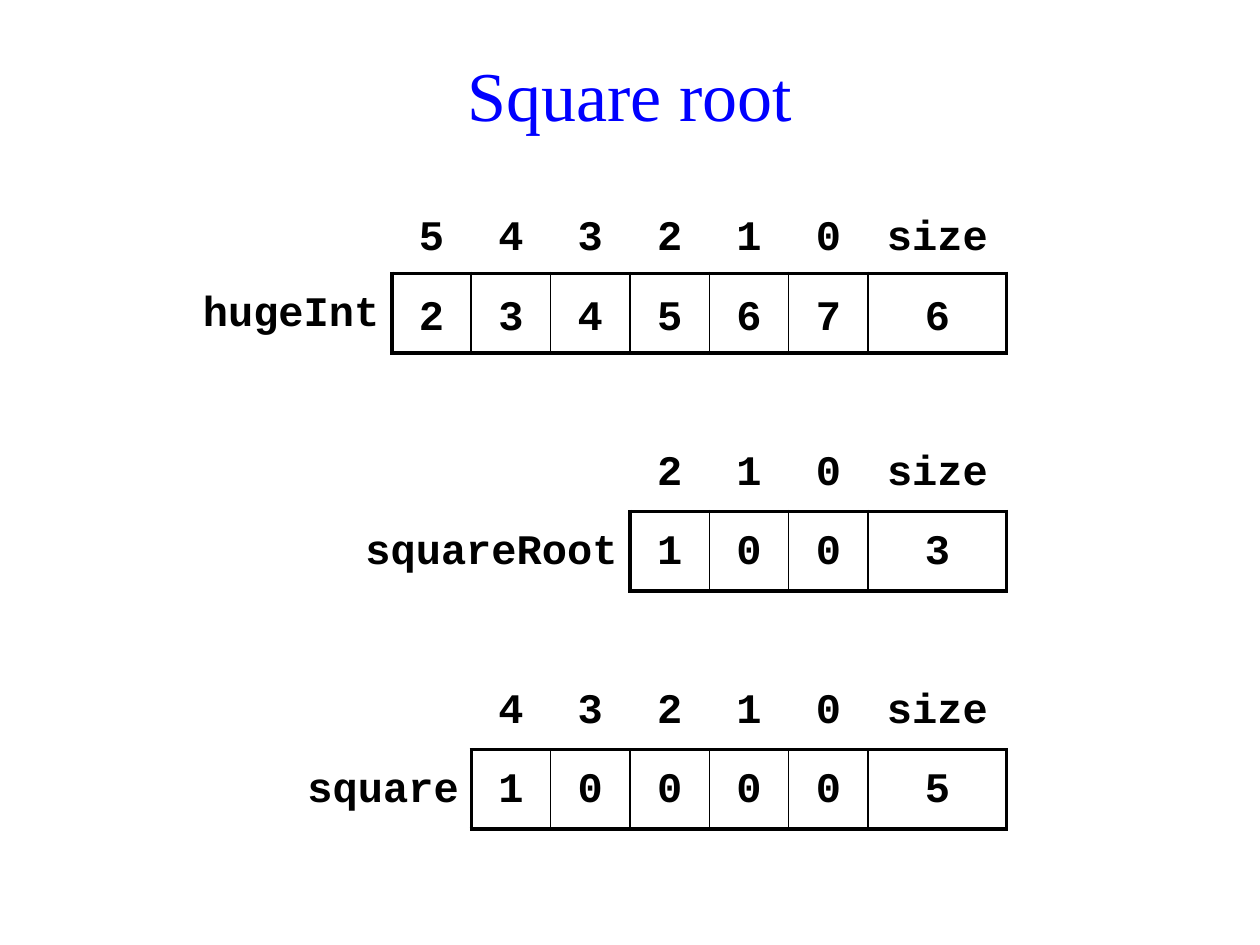
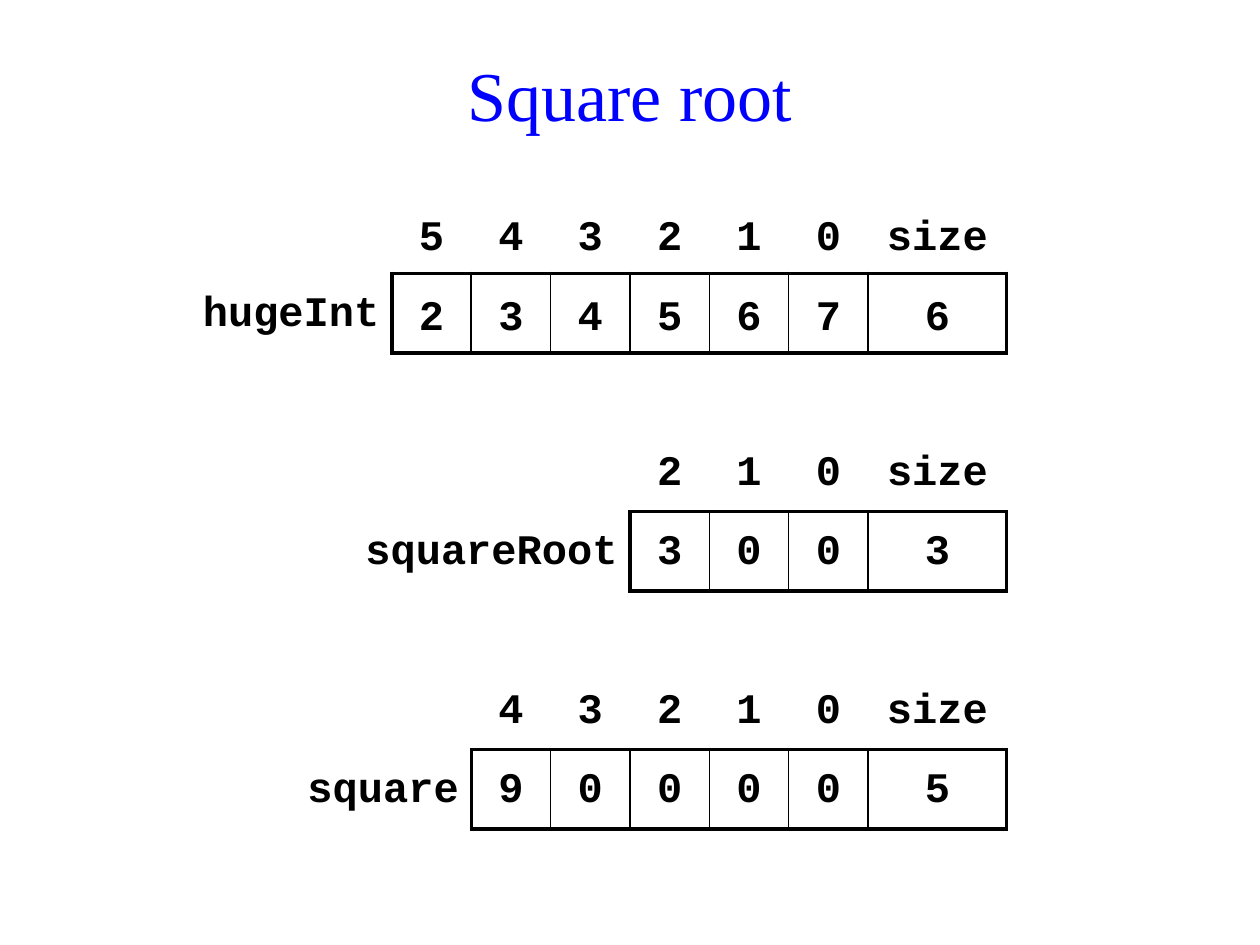
"""Builds two slides that trace a square root computed on digit arrays."""
from dataclasses import dataclass

from lxml.etree import SubElement
from pptx import Presentation
from pptx.dml.color import RGBColor
from pptx.enum.text import MSO_ANCHOR, PP_ALIGN
from pptx.oxml.ns import qn
from pptx.slide import Slide
from pptx.table import _Cell
from pptx.text.text import TextFrame
from pptx.util import Inches, Pt

COLORS = {"title": "0000FF", "ink": "000000", "paper": "FFFFFF"}
SLIDE_WIDTH, SLIDE_HEIGHT = 10, 7.5
UNIT = 0.63
SIZE_WIDTH = 1.1
RIGHT_EDGE = 7.99
FIRST_TOP = 1.54
ROWS_PER_ARRAY = 3
THICK, THIN = 2.25, 1
SIDES = ("L", "R", "T", "B")


@dataclass(frozen=True)
class DigitArray:
    name: str
    digits: str
    name_width: float
    anchor: MSO_ANCHOR = MSO_ANCHOR.TOP


def write(frame: TextFrame, text: str, *, font: str = "Courier New", size: float = 24,
          color: str = "ink", bold: bool = True, spacing: float = 1.25,
          align: PP_ALIGN = PP_ALIGN.CENTER) -> None:
    paragraph = frame.paragraphs[0]
    paragraph.alignment = align
    paragraph.line_spacing = spacing
    run = paragraph.add_run()
    run.text = text
    run.font.name = font
    run.font.size = Pt(size)
    run.font.bold = bold
    run.font.color.rgb = RGBColor.from_string(COLORS[color])


def set_borders(cell: _Cell, widths: dict[str, float]) -> None:
    properties = cell._tc.get_or_add_tcPr()
    for position, side in enumerate(SIDES):
        width = widths.get(side, 0)
        line = SubElement(properties, qn(f"a:ln{side}"), w=str(Pt(width)))
        if width:
            fill = SubElement(line, qn("a:solidFill"))
            SubElement(fill, qn("a:srgbClr"), val=COLORS["ink"])
        else:
            SubElement(line, qn("a:noFill"))
        properties.insert(position, line)


def draw_title(slide: Slide, text: str) -> None:
    margin = 0.059 * SLIDE_WIDTH
    box = slide.shapes.add_textbox(Inches(margin), Inches(0.037 * SLIDE_HEIGHT),
                                   Inches(SLIDE_WIDTH - 2 * margin),
                                   Inches(0.124 * SLIDE_HEIGHT))
    box.text_frame.word_wrap = True
    box.text_frame.vertical_anchor = MSO_ANCHOR.MIDDLE
    write(box.text_frame, text, font="Times New Roman", size=40, color="title",
          bold=False, spacing=1.0)


def draw_array(slide: Slide, array: DigitArray, order: int) -> None:
    count = len(array.digits)
    widths = [array.name_width] + [UNIT] * count + [SIZE_WIDTH]
    top = FIRST_TOP + order * ROWS_PER_ARRAY * UNIT
    frame = slide.shapes.add_table(2, len(widths), Inches(RIGHT_EDGE - sum(widths)),
                                   Inches(top), Inches(sum(widths)), Inches(2 * UNIT))
    table = frame.table
    table.first_row = table.horz_banding = False
    for row in table.rows:
        row.height = Inches(UNIT)
    for column, width in zip(table.columns, widths):
        column.width = Inches(width)

    indices = ["", *map(str, reversed(range(count))), "size"]
    values = [array.name, *array.digits, str(count)]
    last = len(widths) - 1
    for row, texts in enumerate((indices, values)):
        for column, text in enumerate(texts):
            cell = table.cell(row, column)
            cell.fill.background()
            is_name = column == 0
            cell.vertical_anchor = MSO_ANCHOR.TOP if is_name else array.anchor
            write(cell.text_frame, text,
                  align=PP_ALIGN.RIGHT if is_name else PP_ALIGN.CENTER)
            if is_name:
                borders = {"R": THICK} if row else {}
            elif row == 0:
                borders = {"B": THICK}
            else:
                borders = {"L": THICK if column == 1 else THIN,
                           "R": THICK if column == last else THIN,
                           "T": THICK, "B": THICK}
            set_borders(cell, borders)


def main() -> None:
    deck = Presentation()
    deck.slide_width = Inches(SLIDE_WIDTH)
    deck.slide_height = Inches(SLIDE_HEIGHT)
    for root, square in (("100", "10000"), ("300", "90000")):
        slide = deck.slides.add_slide(deck.slide_layouts[6])
        slide.background.fill.solid()
        slide.background.fill.fore_color.rgb = RGBColor.from_string(COLORS["paper"])
        draw_title(slide, "Square root")
        arrays = (DigitArray("hugeInt", "234567", 1.73, MSO_ANCHOR.MIDDLE),
                  DigitArray("squareRoot", root, 2.2),
                  DigitArray("square", square, 1.42))
        for order, array in enumerate(arrays):
            draw_array(slide, array, order)
    deck.save("out.pptx")


main()
